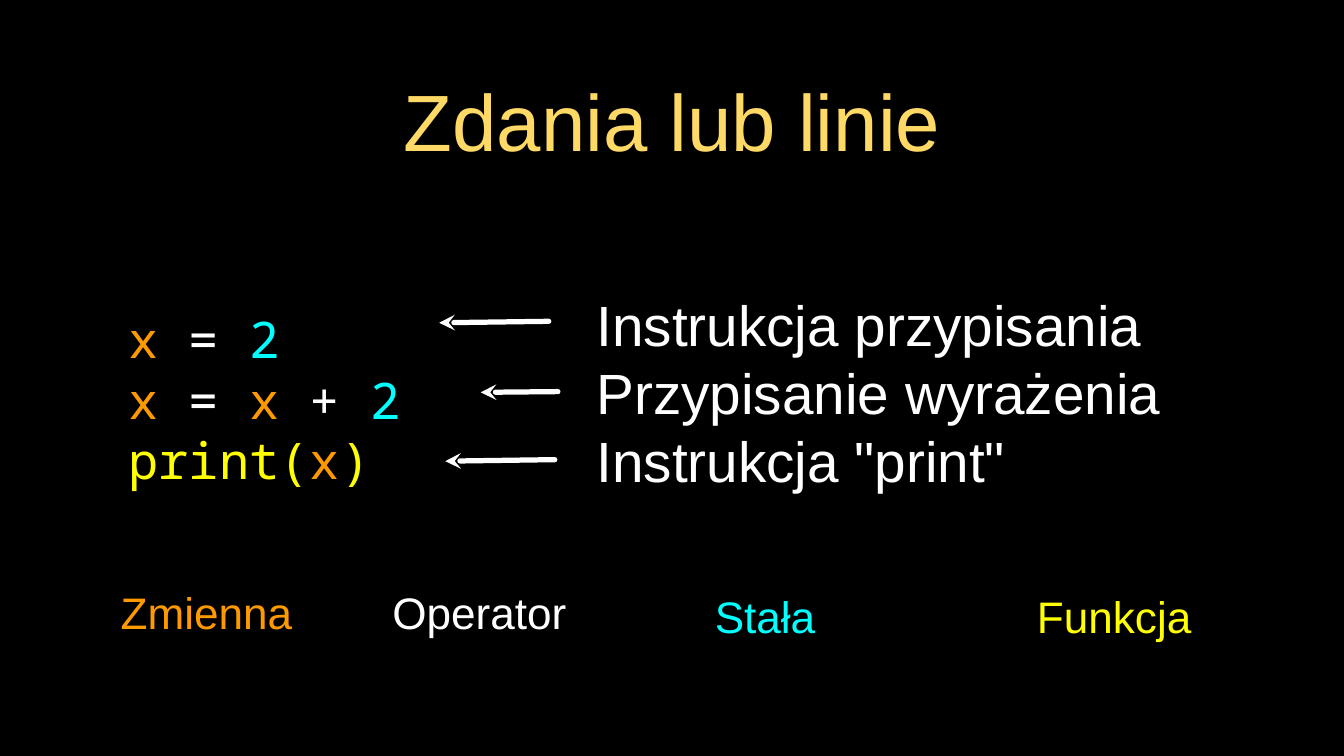
from dataclasses import dataclass

import pptx
import pptx.dml.color
import pptx.enum.shapes
import pptx.enum.text
import pptx.oxml.ns
import pptx.util
from lxml import etree

WIDTH, HEIGHT = 17.78, 10
ALIGN = pptx.enum.text.PP_ALIGN


@dataclass(frozen=True)
class Theme:
    background: str = "000000"
    heading: str = "FFD966"
    variable: str = "FF9900"
    operator: str = "FFFFFF"
    constant: str = "00FFFF"
    function: str = "FFFF00"
    plain: str = "FFFFFF"
    sans: str = "Arial"
    mono: str = "Noto Sans Mono"
    heading_size: int = 76
    note_size: int = 54
    code_size: int = 48
    legend_size: int = 42
    arrow_weight: int = 5
    leading: float = 1.2


THEME = Theme()


@dataclass(frozen=True)
class Area:
    """A rectangle in percent of the slide's width and height."""
    left: float
    top: float
    width: float
    height: float


@dataclass(frozen=True)
class Token:
    text: str
    color: str


@dataclass(frozen=True)
class Legend:
    token: Token
    area: Area


@dataclass(frozen=True)
class Arrow:
    """A pointer from a note (tail) to its line of code (tip), in percent."""
    tip: tuple[float, float]
    tail: tuple[float, float]


def across(percent: float) -> int:
    return pptx.util.Inches(WIDTH * percent / 100)


def down(percent: float) -> int:
    return pptx.util.Inches(HEIGHT * percent / 100)


def rgb(color: str) -> pptx.dml.color.RGBColor:
    return pptx.dml.color.RGBColor.from_string(color)


def draw_text(slide, area: Area, lines: list[list[Token]], font: str, size: int,
              align=ALIGN.CENTER, inset: float = 0, drop: float = 0) -> None:
    """Draw middle-anchored lines; drop is extra space above, in inches."""
    box = slide.shapes.add_textbox(across(area.left), down(area.top),
                                   across(area.width), down(area.height))
    frame = box.text_frame
    frame.word_wrap = True
    frame.vertical_anchor = pptx.enum.text.MSO_ANCHOR.MIDDLE
    frame.margin_left = frame.margin_right = pptx.util.Inches(inset)
    frame.margin_bottom = pptx.util.Inches(inset)
    frame.margin_top = pptx.util.Inches(inset + drop)
    for index, tokens in enumerate(lines):
        paragraph = frame.paragraphs[0] if index == 0 else frame.add_paragraph()
        paragraph.alignment = align
        if len(lines) > 1:
            paragraph.line_spacing = pptx.util.Pt(size * THEME.leading)
        for token in tokens:
            run = paragraph.add_run()
            run.text = token.text
            run.font.name = font
            run.font.size = pptx.util.Pt(size)
            run.font.color.rgb = rgb(token.color)


def draw_arrow(slide, arrow: Arrow) -> None:
    pointer = slide.shapes.add_connector(
        pptx.enum.shapes.MSO_CONNECTOR.STRAIGHT,
        across(arrow.tip[0]), down(arrow.tip[1]),
        across(arrow.tail[0]), down(arrow.tail[1]))
    pointer.line.width = pptx.util.Pt(THEME.arrow_weight)
    pointer.line.color.rgb = rgb(THEME.plain)
    stroke = pointer.line._get_or_add_ln()
    stroke.set("cap", "rnd")
    etree.SubElement(stroke, pptx.oxml.ns.qn("a:round"))
    etree.SubElement(stroke, pptx.oxml.ns.qn("a:headEnd"), type="stealth")
    etree.SubElement(pointer._element.spPr, pptx.oxml.ns.qn("a:effectLst"))


TITLE = Token("Zdania lub linie", THEME.heading)
CODE = [
    [Token("x ", THEME.variable), Token("= ", THEME.operator),
     Token("2", THEME.constant)],
    [Token("x ", THEME.variable), Token("= ", THEME.operator),
     Token("x ", THEME.variable), Token("+ ", THEME.operator),
     Token("2", THEME.constant)],
    [Token("print(", THEME.function), Token("x", THEME.variable),
     Token(")", THEME.function)],
]
NOTES = [[Token(note, THEME.plain)] for note in (
    "Instrukcja przypisania", "Przypisanie wyrażenia", 'Instrukcja "print"')]
LEGENDS = [
    Legend(Token("Zmienna", THEME.variable), Area(8.16, 77, 14.4, 7.9)),
    Legend(Token("Operator", THEME.operator), Area(28.91, 77, 13.5, 7.9)),
    Legend(Token("Stała", THEME.constant), Area(49.72, 77.5, 14.4, 7.9)),
    Legend(Token("Funkcja", THEME.function), Area(72.16, 77.5, 21.48, 7.9)),
]
ARROWS = [
    Arrow((32.68, 42.7), (40.83, 42.5)),
    Arrow((35.77, 51.9), (41.51, 51.8)),
    Arrow((33.13, 61), (41.28, 60.8)),
]


def main() -> None:
    deck = pptx.Presentation()
    deck.slide_width, deck.slide_height = across(100), down(100)
    slide = deck.slides.add_slide(deck.slide_layouts[6])
    slide.background.fill.solid()
    slide.background.fill.fore_color.rgb = rgb(THEME.background)

    # Title
    draw_text(slide, Area(5, 8.4, 90, 14.9), [[TITLE]],
              THEME.sans, THEME.heading_size, inset=0.04)

    # Code sample, lowered a little to sit level with its notes
    draw_text(slide, Area(9.56, 29.9, 24.63, 44.2), CODE,
              THEME.mono, THEME.code_size, ALIGN.LEFT, drop=0.16)

    # Colour legend
    for legend in LEGENDS:
        draw_text(slide, legend.area, [[legend.token]],
                  THEME.sans, THEME.legend_size)

    # Notes and the arrows that tie them to the code
    draw_text(slide, Area(44.38, 29.7, 54.61, 44.2), NOTES,
              THEME.sans, THEME.note_size, ALIGN.LEFT)
    for arrow in ARROWS:
        draw_arrow(slide, arrow)

    deck.save("out.pptx")


if __name__ == "__main__":
    main()
